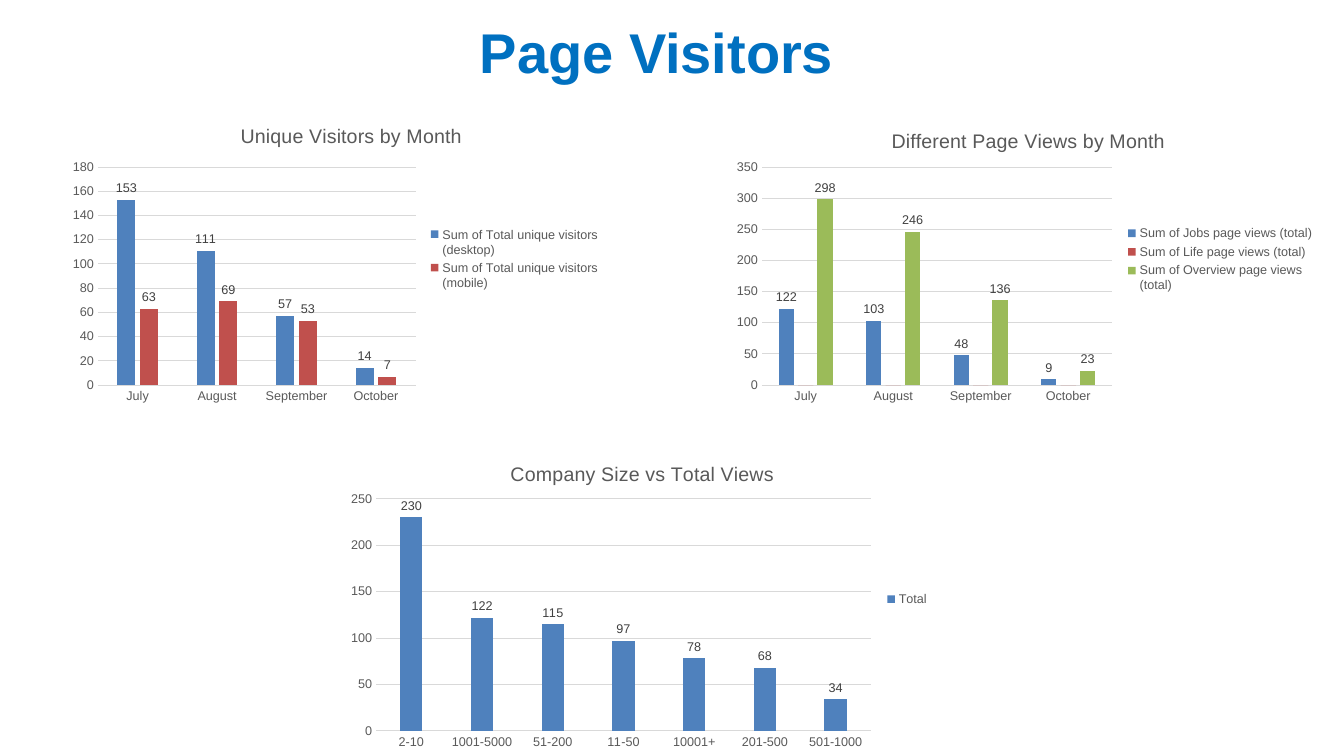
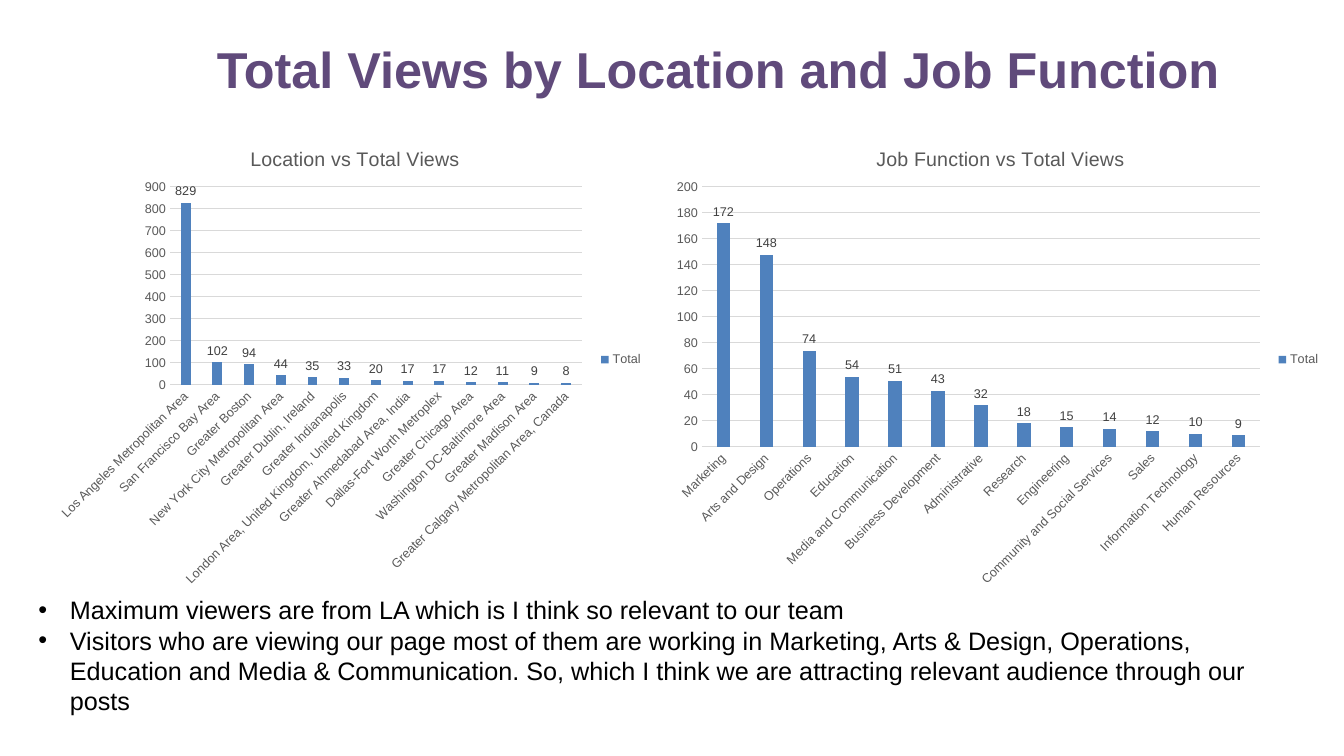
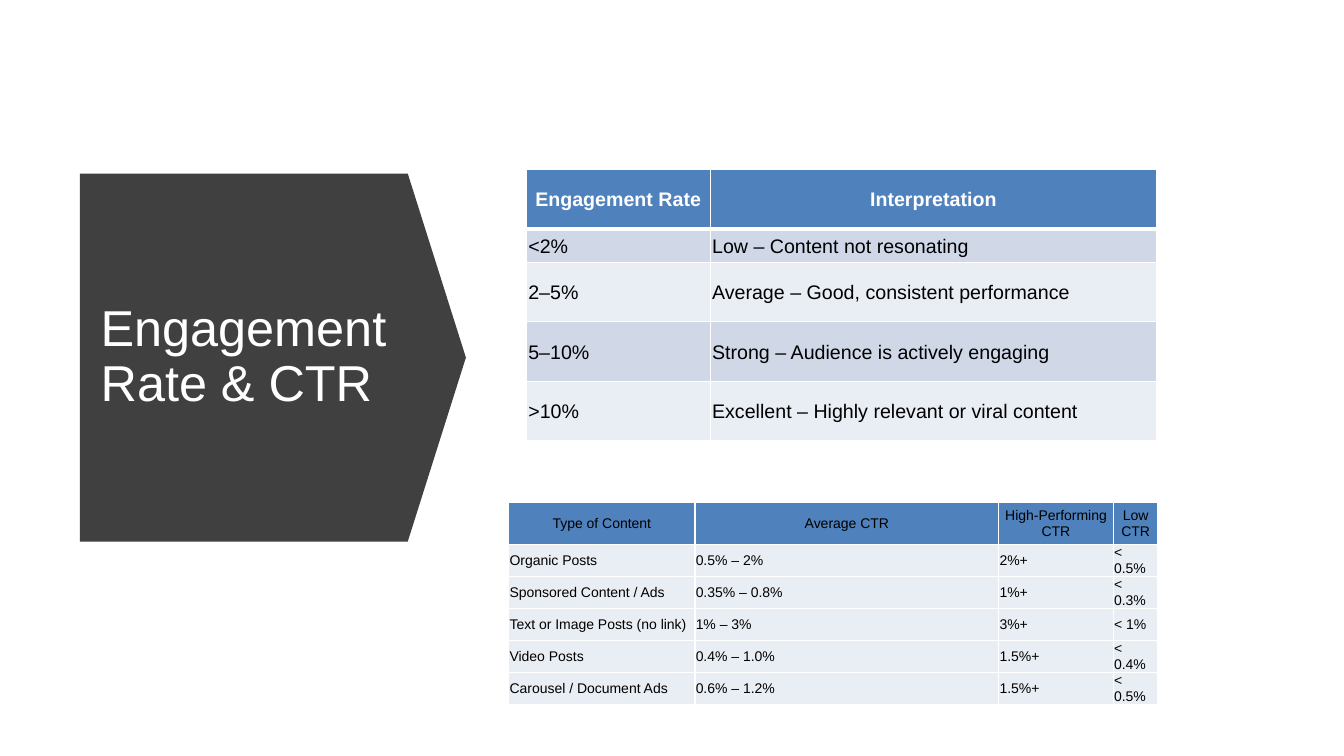
from dataclasses import dataclass

from lxml import etree
from pptx import Presentation
from pptx import util as u
from pptx.chart import data as d
from pptx.dml import color as c
from pptx.enum import chart as ce
from pptx.enum import shapes, text
from pptx.oxml import ns


@dataclass(frozen=True)
class Theme:
    font: str = "Arial"
    white: str = "FFFFFF"
    black: str = "000000"
    dark: str = "404040"
    gray: str = "595959"
    grid: str = "D9D9D9"
    blue: str = "4F81BD"
    red: str = "C0504D"
    green: str = "9BBB59"
    title_blue: str = "0070C0"
    title_purple: str = "604A7B"
    band_dark: str = "D0D8E8"
    band_light: str = "E9EDF4"
    headline: int = 40
    title: int = 36
    body: int = 18
    heading: int = 14
    small: int = 10
    label: int = 9


THEME = Theme()
SERIES_COLORS = (THEME.blue, THEME.red, THEME.green)
CENTER, LEFT = text.PP_ALIGN.CENTER, text.PP_ALIGN.LEFT
TOP, MIDDLE = text.MSO_ANCHOR.TOP, text.MSO_ANCHOR.MIDDLE
FIT_SHAPE = text.MSO_AUTO_SIZE.SHAPE_TO_FIT_TEXT
FIXED = text.MSO_AUTO_SIZE.NONE
MONTHS = ("July", "August", "September", "October")


def rgb(value):
    return c.RGBColor.from_string(value)


def style_font(font, size, color, bold=False):
    font.name = THEME.font
    font.size = u.Pt(size)
    font.bold = bold
    font.color.rgb = rgb(color)


def add_bullet(para, indent):
    properties = para._p.get_or_add_pPr()
    properties.set("marL", str(u.Pt(indent)))
    properties.set("indent", str(-u.Pt(indent)))
    etree.SubElement(properties, ns.qn("a:buFont"), typeface=THEME.font)
    etree.SubElement(properties, ns.qn("a:buChar"), char="•")


def write(frame, *lines, size, color=THEME.black, bold=False, align=LEFT,
          spacing=1.0, bullet_indent=None):
    for number, line in enumerate(lines):
        para = frame.add_paragraph() if number else frame.paragraphs[0]
        para.alignment = align
        para.line_spacing = spacing
        para.space_before = u.Pt(0)
        if bullet_indent:
            add_bullet(para, bullet_indent)
        span = para.add_run()
        span.text = line
        style_font(span.font, size, color, bold)


def fill_placeholder(holder, box, *lines, anchor=TOP, fit=FIT_SHAPE, **style):
    holder.left, holder.top, holder.width, holder.height = map(u.Pt, box)
    frame = holder.text_frame
    frame.word_wrap = True
    frame.auto_size = fit
    frame.vertical_anchor = anchor
    write(frame, *lines, **style)


def set_layout(parent, box, area, inner=False):
    """Fix a chart part at area, in points from the corner of the chart box."""
    layout = parent.find(ns.qn("c:layout"))
    if layout is None:
        layout = etree.Element(ns.qn("c:layout"))
        parent.insert(0, layout)
    manual = etree.SubElement(layout, ns.qn("c:manualLayout"))
    values = [("layoutTarget", "inner")] if inner else []
    values += [("xMode", "edge"), ("yMode", "edge")]
    sizes = (box[2], box[3], box[2], box[3])
    values += [(name, f"{part / whole:.4f}")
               for name, part, whole in zip("xywh", area, sizes)]
    for name, value in values:
        etree.SubElement(manual, ns.qn(f"c:{name}"), val=value)


def style_axes(chart, label_angle):
    for axis in (chart.category_axis, chart.value_axis):
        axis.major_tick_mark = axis.minor_tick_mark = ce.XL_TICK_MARK.NONE
        style_font(axis.tick_labels.font, THEME.label, THEME.gray)
    grid = chart.value_axis.major_gridlines.format.line
    for line in (chart.category_axis.format.line, grid):
        line.color.rgb = rgb(THEME.grid)
        line.width = u.Pt(0.75)
    chart.value_axis.format.line.fill.background()
    if label_angle:
        body = chart.category_axis._element.find(
            f"{ns.qn('c:txPr')}/{ns.qn('a:bodyPr')}")
        body.set("rot", str(label_angle * 60000))
        body.set("vert", "horz")


def style_series(plot):
    plot.gap_width = 219
    plot.overlap = -27
    plot.vary_by_categories = False
    for series, color in zip(plot.series, SERIES_COLORS):
        series.format.fill.solid()
        series.format.fill.fore_color.rgb = rgb(color)
        series.invert_if_negative = False
        if any(series.values):
            labels = series.data_labels
            labels.show_value = True
            labels.position = ce.XL_LABEL_POSITION.OUTSIDE_END
            style_font(labels.font, THEME.label, THEME.dark)


def column_chart(page, box, title, categories, series, *, title_at, plot_area,
                 label_angle=0):
    """Add a column chart; title_at and plot_area are relative to box."""
    chart_data = d.CategoryChartData()
    chart_data.categories = categories
    for name, values in series.items():
        chart_data.add_series(name, values)
    chart = page.shapes.add_chart(ce.XL_CHART_TYPE.COLUMN_CLUSTERED,
                                  *map(u.Pt, box), chart_data).chart
    style_font(chart.font, THEME.small, THEME.black)
    chart.has_title = True
    write(chart.chart_title.text_frame, title, size=THEME.heading,
          color=THEME.gray, align=CENTER)
    chart.has_legend = True
    chart.legend.position = ce.XL_LEGEND_POSITION.RIGHT
    chart.legend.include_in_layout = False
    style_font(chart.legend.font, THEME.label, THEME.gray)
    style_axes(chart, label_angle)
    style_series(chart.plots[0])
    set_layout(chart.chart_title._element, box, title_at)
    set_layout(chart._chartSpace.chart.plotArea, box, plot_area, inner=True)


def set_borders(cell, bottom):
    properties = cell._tc.get_or_add_tcPr()
    for side, width in zip("LRTB", (1, 1, 1, bottom)):
        line = etree.SubElement(properties, ns.qn(f"a:ln{side}"),
                                w=str(u.Pt(width)))
        fill = etree.SubElement(line, ns.qn("a:solidFill"))
        etree.SubElement(fill, ns.qn("a:srgbClr"), val=THEME.white)


def add_grid(page, corner, columns, heights, rows, *, size, margin, bands,
             header_color, header_bold=False, header_border=1):
    """Add a table whose first row is a header; bands colour the others in turn."""
    table = page.shapes.add_table(
        len(rows), len(columns),
        *map(u.Pt, (*corner, sum(columns), sum(heights)))).table
    table.first_row = table.horz_banding = False
    for column, width in zip(table.columns, columns):
        column.width = u.Pt(width)
    for index, (row, height, words) in enumerate(zip(table.rows, heights, rows)):
        row.height = u.Pt(height)
        header = index == 0
        for cell, word in zip(row.cells, words):
            cell.margin_left = cell.margin_right = cell.margin_top = u.Pt(margin)
            cell.margin_bottom = 0
            cell.vertical_anchor = MIDDLE
            set_borders(cell, header_border if header else 1)
            cell.fill.solid()
            cell.fill.fore_color.rgb = rgb(
                THEME.blue if header else bands[(index - 1) % len(bands)])
            write(cell.text_frame, word, size=size,
                  color=header_color if header else THEME.black,
                  bold=header and header_bold,
                  align=CENTER if header else LEFT)


def title_arrow(page, box, title):
    """Fill box with a block arrow pointing right and set the title on it."""
    left, top, width, height = box
    shift = (width - height) / 2
    arrow = page.shapes.add_shape(
        shapes.MSO_SHAPE.DOWN_ARROW,
        *map(u.Pt, (left + shift, top - shift, height, width)))
    arrow.rotation = 270
    arrow.adjustments[0] = 1
    arrow.adjustments[1] = 0.158
    arrow.shadow.inherit = False
    arrow.fill.solid()
    arrow.fill.fore_color.rgb = rgb(THEME.dark)
    arrow.line.fill.background()
    page.shapes._spTree.insert(2, arrow._element)
    fill_placeholder(page.shapes.title, (left - 0.8, top + 31, 235.4, 201),
                     title, size=THEME.title, color=THEME.white, align=CENTER,
                     anchor=MIDDLE, fit=FIXED, spacing=0.9)


def visitors_slide(deck):
    page = deck.slides.add_slide(deck.slide_layouts[5])
    fill_placeholder(page.shapes.title, (335.5, 8.6, 279.4, 55.4),
                     "Page Visitors", size=THEME.headline,
                     color=THEME.title_blue, bold=True)
    column_chart(page, (44, 78, 392, 214.5), "Unique Visitors by Month", MONTHS,
                 {"Sum of Total unique visitors (desktop)": (153, 111, 57, 14),
                  "Sum of Total unique visitors (mobile)": (63, 69, 53, 7)},
                 title_at=(125.3, 7.6), plot_area=(26, 41.4, 227, 155.7))
    column_chart(page, (517.7, 78, 428.4, 214.5),
                 "Different Page Views by Month", MONTHS,
                 {"Sum of Jobs page views (total)": (122, 103, 48, 9),
                  "Sum of Life page views (total)": (0, 0, 0, 0),
                  "Sum of Overview page views (total)": (298, 246, 136, 23)},
                 title_at=(116.6, 11), plot_area=(26.6, 41.4, 250, 155.7))
    column_chart(page, (242.6, 316, 428.4, 224), "Company Size vs Total Views",
                 ("2-10", "1001-5000", "51-200", "11-50", "10001+", "201-500",
                  "501-1000"),
                 {"Total": (230, 122, 115, 97, 78, 68, 34)},
                 title_at=(119.5, 11), plot_area=(26, 40.4, 353.6, 165.7))


def audience_slide(deck):
    page = deck.slides.add_slide(deck.slide_layouts[1])
    fill_placeholder(page.shapes.title, (123.8, 23.8, 779, 51),
                     "Total Views by Location and Job Function",
                     size=THEME.title, color=THEME.title_purple, bold=True,
                     align=CENTER)
    column_chart(page, (35.3, 87.8, 431.3, 338.4), "Location vs Total Views",
                 ("Los Angeles Metropolitan Area", "San Francisco Bay Area",
                  "Greater Boston", "New York City Metropolitan Area",
                  "Greater Dublin, Ireland", "Greater Indianapolis",
                  "London Area, United Kingdom, United Kingdom",
                  "Greater Ahmedabad Area, India",
                  "Dallas-Fort Worth Metroplex", "Greater Chicago Area",
                  "Washington DC-Baltimore Area", "Greater Madison Area",
                  "Greater Calgary Metropolitan Area, Canada"),
                 {"Total": (829, 102, 94, 44, 35, 33, 20, 17, 17, 12, 11, 9, 8)},
                 title_at=(141, 14.2), plot_area=(86.1, 45.8, 294.3, 141.4),
                 label_angle=-45)
    column_chart(page, (474.5, 87.8, 476, 338.4), "Job Function vs Total Views",
                 ("Marketing", "Arts and Design", "Operations", "Education",
                  "Media and Communication", "Business Development",
                  "Administrative", "Research", "Engineering",
                  "Community and Social Services", "Sales",
                  "Information Technology", "Human Resources"),
                 {"Total": (172, 148, 74, 54, 51, 43, 32, 18, 15, 14, 12, 10, 9)},
                 title_at=(149, 14.2), plot_area=(26.9, 45.8, 398.6, 185.7),
                 label_angle=-45)
    fill_placeholder(
        page.placeholders[1], (20.2, 421.2, 920.2, 94.3),
        "Maximum viewers are from LA which is I think so relevant to our team",
        "Visitors who are viewing our page most of them are working in "
        "Marketing, Arts & Design, Operations, Education and Media & "
        "Communication. So, which I think we are attracting relevant audience "
        "through our posts",
        size=THEME.body, bullet_indent=22.5)


def engagement_slide(deck):
    page = deck.slides.add_slide(deck.slide_layouts[5])
    title_arrow(page, (57, 124, 275.8, 262.8), "Engagement Rate & CTR ")
    add_grid(page, (376, 121), (131.3, 319), (42.5, 23.8, 42.5, 42.5, 42.5),
             (("Engagement Rate", "Interpretation"),
              ("<2%", "Low – Content not resonating"),
              ("2–5%", "Average – Good, consistent performance"),
              ("5–10%", "Strong – Audience is actively engaging"),
              (">10%", "Excellent – Highly relevant or viral content")),
             size=THEME.heading, margin=1.4,
             bands=(THEME.band_dark, THEME.band_light),
             header_color=THEME.white, header_bold=True, header_border=3)
    add_grid(page, (363.4, 358.8), (133, 217, 81.8, 32), [30] + [22.6] * 5,
             (("Type of Content", "Average CTR", "High-Performing CTR", "Low CTR"),
              ("Organic Posts", "0.5% – 2%", "2%+", "< 0.5%"),
              ("Sponsored Content / Ads", "0.35% – 0.8%", "1%+", "< 0.3%"),
              ("Text or Image Posts (no link)", "1% – 3%", "3%+", "< 1%"),
              ("Video Posts", "0.4% – 1.0%", "1.5%+", "< 0.4%"),
              ("Carousel / Document Ads", "0.6% – 1.2%", "1.5%+", "< 0.5%")),
             size=THEME.small, margin=0.6, bands=(THEME.band_light,),
             header_color=THEME.black)


def main():
    deck = Presentation()
    deck.slide_width, deck.slide_height = u.Pt(960), u.Pt(540)
    visitors_slide(deck)
    audience_slide(deck)
    engagement_slide(deck)
    deck.save("out.pptx")


if __name__ == "__main__":
    main()
